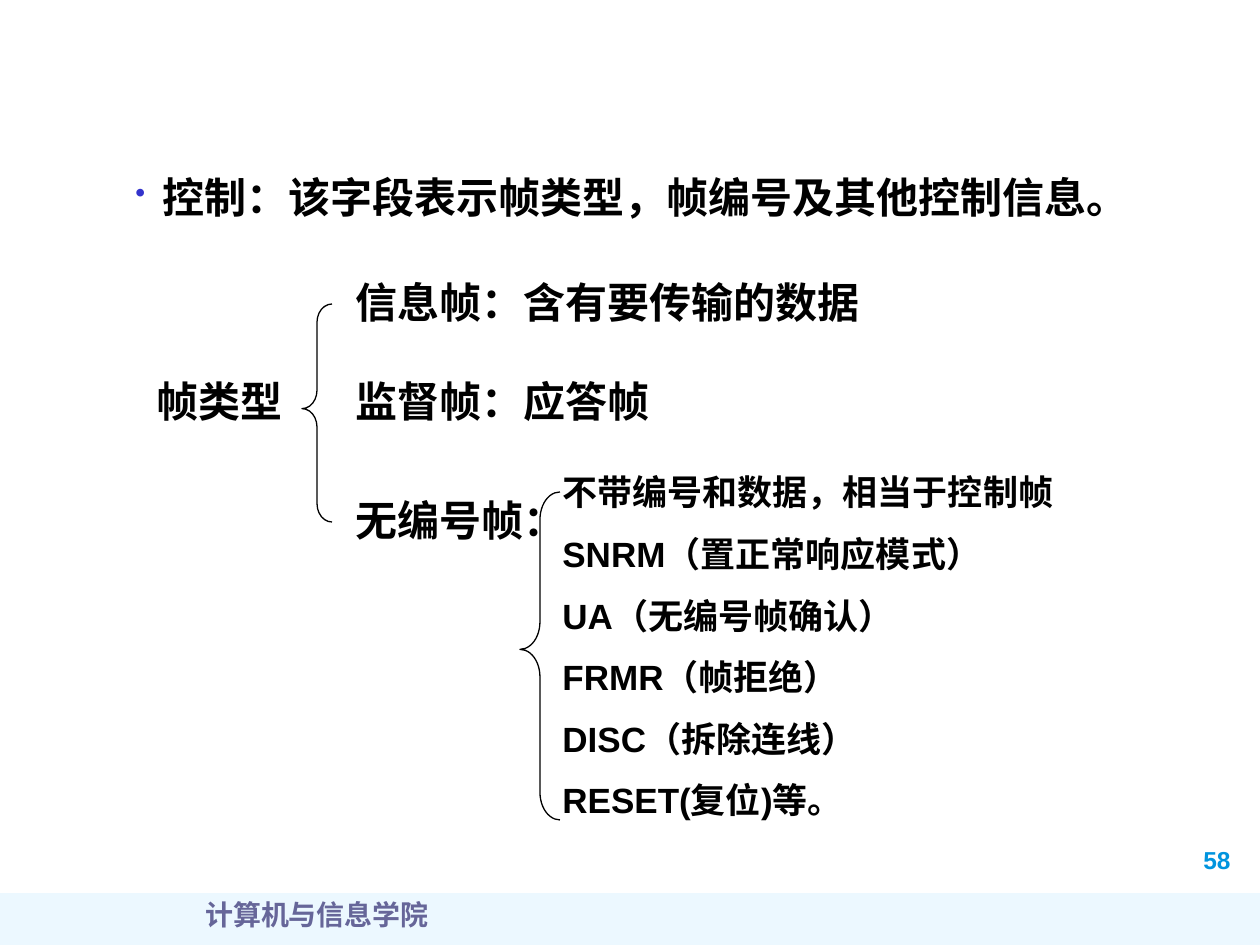
import dataclasses

import lxml.etree
import pptx
import pptx.dml.color
import pptx.enum.shapes
import pptx.enum.text
import pptx.oxml.ns
import pptx.slide
import pptx.text.text
import pptx.util

EMU_PER_PX = 914400 / 126
BLACK = "000000"
ALIGN = pptx.enum.text.PP_ALIGN


@dataclasses.dataclass(frozen=True)
class Box:
    left: int
    top: int
    width: int
    height: int


@dataclasses.dataclass(frozen=True)
class Label:
    box: Box
    lines: tuple[str, ...]
    size: int = 24
    color: str = BLACK
    font: str = "Arial"
    align: ALIGN = ALIGN.LEFT
    spacing: float = 1.3
    wrap: bool = False
    bullet: bool = False


@dataclasses.dataclass(frozen=True)
class Brace:
    box: Box
    curve: float


LABELS = (
    Label(Box(1191, 839, 74, 42), ("58",), 14, "0094DE", spacing=1.0, wrap=True),
    Label(Box(34, 891, 566, 63), ("计算机与信息学院",), 16, "666699",
          "Times New Roman", ALIGN.CENTER, 1.0, True),
    Label(Box(123, 165, 1022, 63), ("控制：该字段表示帧类型，帧编号及其他控制信息。",),
          align=ALIGN.JUSTIFY, spacing=1.0, wrap=True, bullet=True),
    Label(Box(343, 255, 529, 78), ("信息帧：含有要传输的数据",)),
    Label(Box(343, 354, 319, 78), ("监督帧：应答帧",)),
    Label(Box(550, 452, 536, 382), (
        "不带编号和数据，相当于控制帧",
        "SNRM（置正常响应模式）",
        "UA（无编号帧确认）",
        "FRMR（帧拒绝）",
        "DISC（拆除连线）",
        "RESET(复位)等。",
    ), 20, wrap=True),
    Label(Box(144, 354, 151, 78), ("帧类型",)),
    Label(Box(343, 473, 236, 78), ("无编号帧：",)),
)
BRACES = (
    Brace(Box(302, 304, 30, 218), 0.61),
    Brace(Box(520, 492, 40, 328), 0.69),
)


def px(length: int) -> pptx.util.Emu:
    """Turn pixels into EMU."""
    return pptx.util.Emu(round(length * EMU_PER_PX))


def place(box: Box) -> tuple[pptx.util.Emu, ...]:
    """Give a box as left, top, width and height in EMU."""
    return tuple(px(length) for length in dataclasses.astuple(box))


def rgb(color: str) -> pptx.dml.color.RGBColor:
    """Turn a hex string into a colour."""
    return pptx.dml.color.RGBColor.from_string(color)


def add_child(parent, tag: str, **attributes: str):
    """Append a DrawingML element."""
    return lxml.etree.SubElement(parent, pptx.oxml.ns.qn(tag), attributes)


def add_bullet(paragraph: pptx.text.text._Paragraph) -> None:
    """Give a paragraph a small blue bullet with a hanging indent."""
    properties = paragraph._p.get_or_add_pPr()
    properties.set("marL", str(px(27)))
    properties.set("indent", str(-px(27)))
    add_child(add_child(properties, "a:buClr"), "a:srgbClr", val="3333CC")
    add_child(properties, "a:buSzPct", val="70000")
    add_child(properties, "a:buChar", char="•")


def add_label(slide: pptx.slide.Slide, label: Label) -> None:
    """Draw a text box with one paragraph for each line."""
    frame = slide.shapes.add_textbox(*place(label.box)).text_frame
    frame.word_wrap = label.wrap
    for index, line in enumerate(label.lines):
        paragraph = frame.add_paragraph() if index else frame.paragraphs[0]
        if label.bullet:
            add_bullet(paragraph)
        paragraph.alignment = label.align
        paragraph.line_spacing = label.spacing
        if index:
            paragraph.space_before = pptx.util.Pt(label.size * 0.2)
        run = paragraph.add_run()
        run.text = line
        run.font.name = label.font
        run.font.size = pptx.util.Pt(label.size)
        run.font.bold = True
        run.font.color.rgb = rgb(label.color)


def add_brace(slide: pptx.slide.Slide, brace: Brace) -> None:
    """Draw a thin left brace."""
    shape = slide.shapes.add_shape(
        pptx.enum.shapes.MSO_SHAPE.LEFT_BRACE, *place(brace.box))
    shape.shadow.inherit = False
    shape.adjustments[0] = brace.curve
    shape.adjustments[1] = 0.48
    shape.fill.background()
    shape.line.color.rgb = rgb(BLACK)
    shape.line.width = pptx.util.Pt(0.75)


def add_footer_band(slide: pptx.slide.Slide) -> None:
    """Draw the translucent band at the foot of the slide."""
    band = slide.shapes.add_shape(
        pptx.enum.shapes.MSO_SHAPE.RECTANGLE, *place(Box(-1, 893, 1261, 55)))
    band.shadow.inherit = False
    band.fill.solid()
    band.fill.fore_color.rgb = rgb("A7E2FF")
    color = band._element.spPr.find(".//" + pptx.oxml.ns.qn("a:srgbClr"))
    add_child(color, "a:alpha", val="21000")
    band.line.fill.background()


def main() -> None:
    """Build and save the slide."""
    presentation = pptx.Presentation()
    presentation.slide_width = px(1260)
    presentation.slide_height = px(945)
    slide = presentation.slides.add_slide(presentation.slide_layouts[6])
    add_footer_band(slide)
    for label in LABELS:
        add_label(slide, label)
    for brace in BRACES:
        add_brace(slide, brace)
    presentation.save("out.pptx")


if __name__ == "__main__":
    main()
